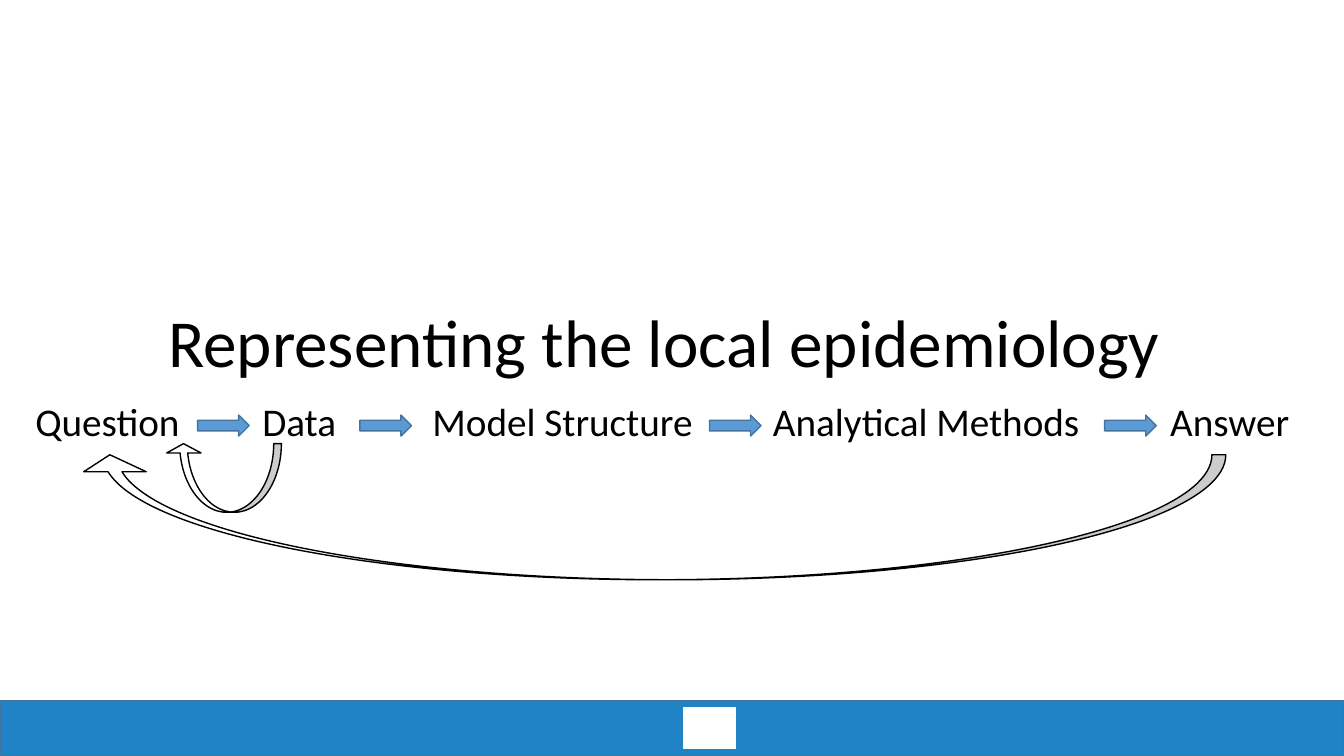
"""Build the slide on representing the local epidemiology."""
from pptx import Presentation
from pptx import util as u
from pptx.dml.color import RGBColor
from pptx.enum import shapes, text

BLACK = RGBColor(0x00, 0x00, 0x00)
WHITE = RGBColor(0xFF, 0xFF, 0xFF)
BAR_BLUE = RGBColor(0x1F, 0x83, 0xC5)
ARROW_BLUE = RGBColor(0x5B, 0x9B, 0xD5)
EDGE_BLUE = RGBColor(0x43, 0x73, 0x9E)

STEPS = ["Question", "Data", "Model Structure", "Analytical Methods", "Answer"]
TAB_STEP = 1.43
ARROW_LEFTS = [4.98, 9.07, 17.88, 27.84]
FEEDBACK_BOXES = [(1.98, 11.46, 28.91, 3.15), (4.19, 11.18, 2.9, 1.73)]


class Deck:
    """Hold the style and the current slide."""

    font = "Calibri"

    def __init__(self, prs):
        self.slide = prs.slides.add_slide(prs.slide_layouts[0])

    def placeholder(self, index, box, words, size, anchor):
        sp = self.slide.placeholders[index]
        sp.left, sp.top, sp.width, sp.height = map(u.Cm, box)
        tf = sp.text_frame
        frame = {"word_wrap": True, "auto_size": text.MSO_AUTO_SIZE.NONE,
                 "vertical_anchor": anchor}
        for name, value in frame.items():
            setattr(tf, name, value)
        p = tf.paragraphs[0]
        p._p.get_or_add_pPr().set("defTabSz", str(u.Cm(TAB_STEP)))
        for name, value in {"alignment": text.PP_ALIGN.CENTER, "line_spacing": 0.9,
                            "space_before": u.Pt(0)}.items():
            setattr(p, name, value)
        r = p.add_run()
        r.text = words
        for name, value in {"name": self.font, "size": u.Pt(size)}.items():
            setattr(r.font, name, value)
        r.font.color.rgb = BLACK

    def shape(self, kind, box, fill, line):
        sp = self.slide.shapes.add_shape(kind, *map(u.Cm, box))
        sp.shadow.inherit = False
        sp.fill.solid()
        sp.fill.fore_color.rgb = fill
        sp.line.color.rgb = line
        sp.line.width = u.Pt(1)
        return sp

    def feedback_arrow(self, box):
        sp = self.shape(shapes.MSO_SHAPE.CURVED_UP_ARROW, box, WHITE, BLACK)
        for i, value in enumerate((0.111, 0.5, 0.136)):
            sp.adjustments[i] = value
        sp.rotation = 180
        sp._element.spPr.get_or_add_xfrm().set("flipV", "1")


def main():
    prs = Presentation()
    prs.slide_width, prs.slide_height = u.Cm(33.87), u.Cm(19.05)
    deck = Deck(prs)
    deck.placeholder(0, (2.54, 3.12, 28.78, 6.63), "Representing the local epidemiology ",
                     48, text.MSO_ANCHOR.BOTTOM)
    deck.placeholder(1, (0.36, 10.01, 32.66, 4.6), "\t\t".join(STEPS),
                     28, text.MSO_ANCHOR.TOP)
    rect = shapes.MSO_SHAPE.RECTANGLE
    deck.shape(rect, (0, 17.65, 33.87, 1.4), BAR_BLUE, EDGE_BLUE)
    deck.shape(rect, (17.22, 17.83, 1.32, 1.04), WHITE, WHITE)
    for left in ARROW_LEFTS:
        deck.shape(shapes.MSO_SHAPE.RIGHT_ARROW, (left, 10.46, 1.3, 0.53),
                   ARROW_BLUE, EDGE_BLUE)
    for box in FEEDBACK_BOXES:
        deck.feedback_arrow(box)
    prs.save("out.pptx")


if __name__ == "__main__":
    main()
